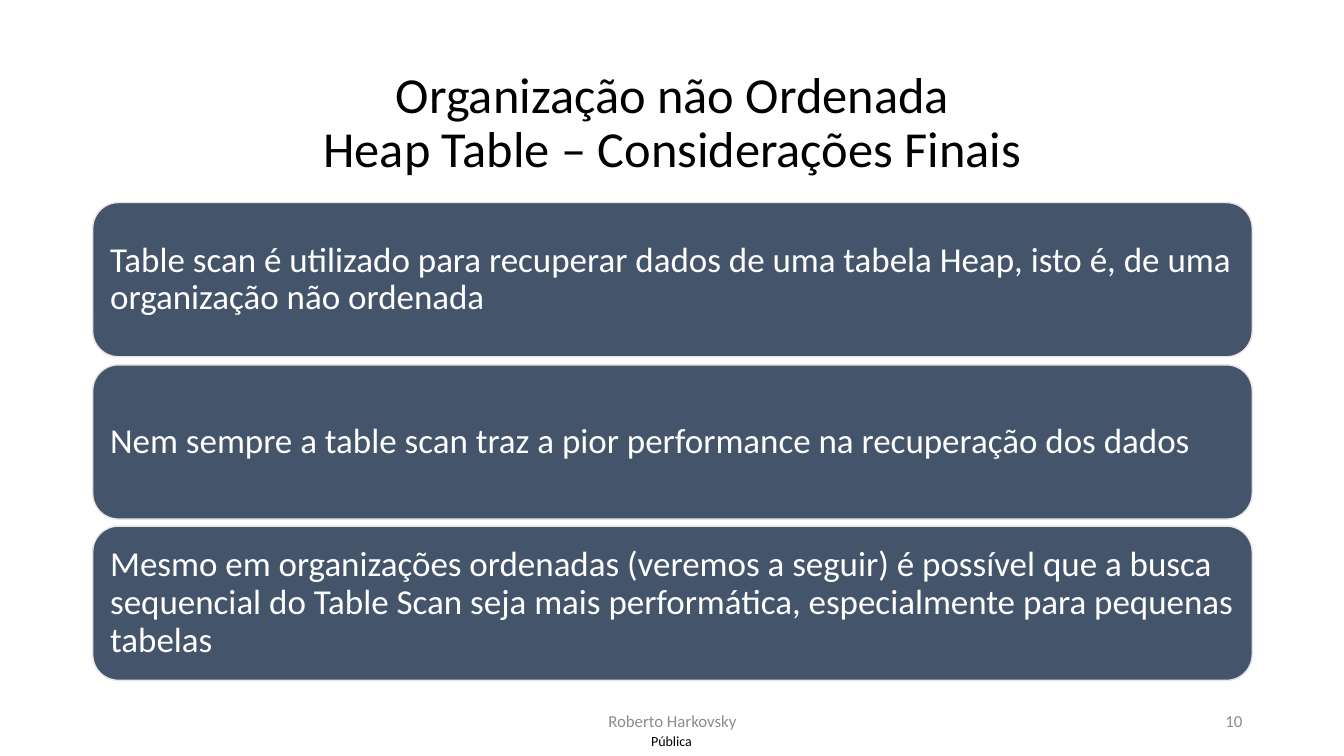
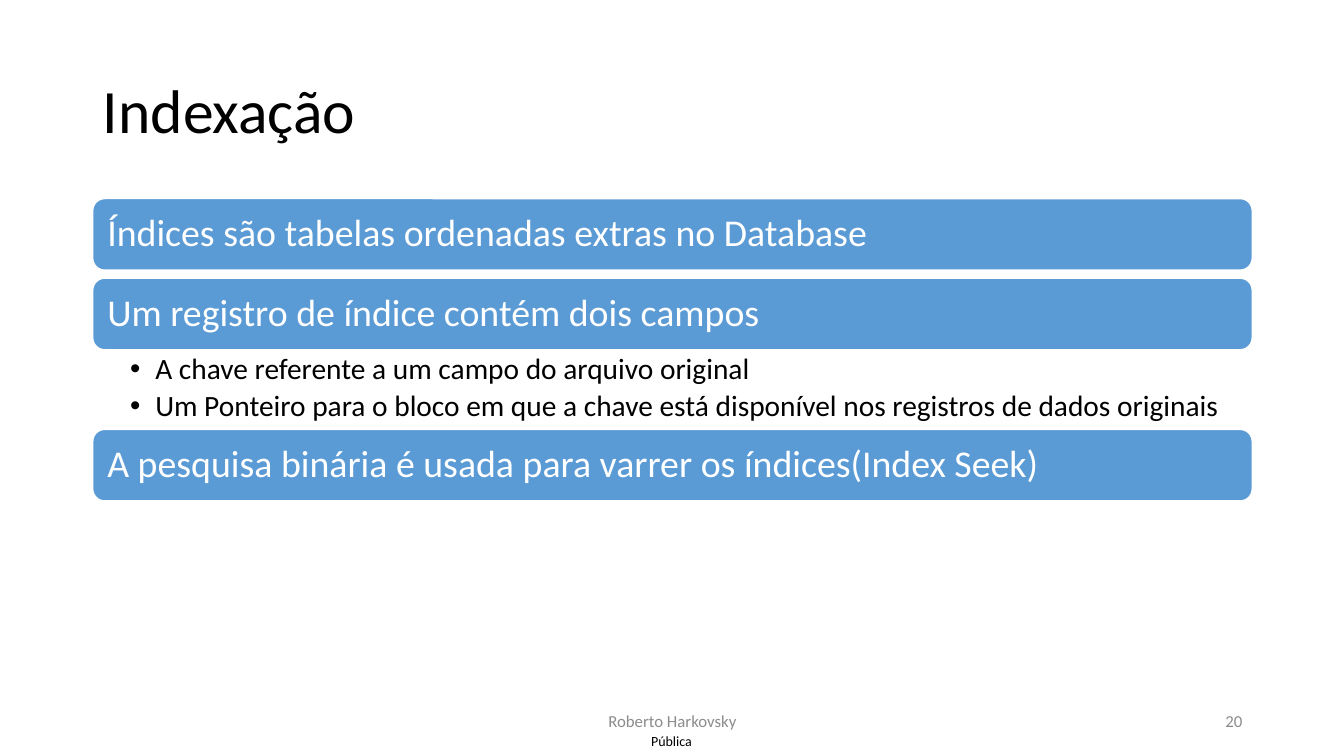
from lxml import etree
from pptx import Presentation
from pptx.dml.color import RGBColor
from pptx.enum.shapes import MSO_SHAPE as Shape
from pptx.enum.text import MSO_ANCHOR as Anchor, MSO_AUTO_SIZE as AutoSize, PP_ALIGN as Align
from pptx.oxml.ns import qn
from pptx.util import Inches, Pt

# Shared style
FONT = "Calibri"
BLACK, WHITE, GRAY = "000000", "FFFFFF", "8C8C8C"
NAVY, BLUE, PALE = "44546A", "5B9BD5", "E7E6E6"
LEFT, WIDTH = 0.92, 11.5


def color(value):
    return RGBColor.from_string(value)


def write(shape, lines, size, fill=BLACK, align=Align.LEFT, anchor=Anchor.MIDDLE,
          insets=(0.1, 0.05, 0.1, 0.05), spacing=0.9, after=0, bullet=None, indent=0.25):
    """Fill a shape with one paragraph per line and format it."""
    frame = shape.text_frame
    frame.word_wrap = True
    frame.auto_size = AutoSize.NONE
    frame.vertical_anchor = anchor
    frame.margin_left, frame.margin_top, frame.margin_right, frame.margin_bottom = map(Inches, insets)
    for index, line in enumerate(lines):
        paragraph = frame.add_paragraph() if index else frame.paragraphs[0]
        paragraph.text = line
        paragraph.alignment = align
        paragraph.line_spacing = spacing
        paragraph.space_before, paragraph.space_after = Pt(0), Pt(after)
        if bullet:
            paragraph.level = 1
            properties = paragraph._p.get_or_add_pPr()
            properties.set("marL", str(Inches(indent)))
            properties.set("indent", str(-Inches(indent)))
            etree.SubElement(properties, qn("a:buChar"), char=bullet)
        for run in paragraph.runs:
            run.font.name, run.font.size = FONT, Pt(size)
            run.font.color.rgb = color(fill)


presentation = Presentation()
presentation.slide_width, presentation.slide_height = Inches(13.33), Inches(7.5)
list_layout, title_layout = presentation.slide_layouts[1], presentation.slide_layouts[5]

# Each card is (top, text)
slides = [
    {"layout": title_layout, "number": "10",
     "title": "Organização não Ordenada\vHeap Table – Considerações Finais",
     "title_top": 0.61, "title_height": 1.24, "title_size": 36, "title_align": Align.CENTER,
     "fill": NAVY, "line": PALE, "card_height": 1.53, "inset": 0.1, "size": 25,
     "cards": [
         (2.01, "Table scan é utilizado para recuperar dados de uma tabela Heap, "
                "isto é, de uma organização não ordenada"),
         (3.62, "Nem sempre a table scan traz a pior performance na recuperação dos dados"),
         (5.22, "Mesmo em organizações ordenadas (veremos a seguir) é possível que a busca "
                "sequencial do Table Scan seja mais performática, especialmente para pequenas tabelas"),
     ]},
    {"layout": list_layout, "number": "20", "title": "Indexação",
     "title_top": 0.4, "title_height": 1.45, "title_size": 44, "title_align": Align.LEFT,
     "fill": BLUE, "line": WHITE, "card_height": 0.71, "inset": 0.11, "size": 27,
     "cards": [
         (1.97, "Índices são tabelas ordenadas extras no Database"),
         (2.76, "Um registro de índice contém dois campos"),
         (4.26, "A pesquisa binária é usada para varrer os índices(Index Seek)"),
     ],
     "list_top": 3.47,
     "list": ["A chave referente a um campo do arquivo original",
              "Um Ponteiro para o bloco em que a chave está disponível nos registros de dados originais"]},
]

for content in slides:
    slide = presentation.slides.add_slide(content["layout"])

    # Title
    title = slide.shapes.title
    title.left, title.top = Inches(LEFT), Inches(content["title_top"])
    title.width, title.height = Inches(WIDTH), Inches(content["title_height"])
    write(title, [content["title"]], content["title_size"], align=content["title_align"])

    # Cards
    for top, text in content["cards"]:
        card = slide.shapes.add_shape(Shape.ROUNDED_RECTANGLE, Inches(LEFT), Inches(top),
                                      Inches(WIDTH), Inches(content["card_height"]))
        card.shadow.inherit = False
        card.fill.solid()
        card.fill.fore_color.rgb = color(content["fill"])
        card.line.color.rgb = color(content["line"])
        card.line.width = Pt(1)
        write(card, [text], content["size"], fill=WHITE, insets=[content["inset"]] * 4)

    # Bulleted list
    if "list" in content:
        body = slide.placeholders[1]
        body.left, body.top = Inches(LEFT), Inches(content["list_top"])
        body.width, body.height = Inches(WIDTH), Inches(0.79)
        write(body, content["list"], 21, anchor=Anchor.TOP, after=4, bullet="•",
              insets=(0.37, 0.04, 0.21, 0.04))

    # Footer: author, slide number and classification
    for text, left, top, width, height, size, fill, align in [
        ("Roberto Harkovsky", 4.42, 6.95, 4.5, 0.4, 12, GRAY, Align.CENTER),
        (content["number"], 9.42, 6.95, 3, 0.4, 12, GRAY, Align.RIGHT),
        ("Pública", 6.31, 7.21, 0.7, 0.29, 10, BLACK, Align.CENTER),
    ]:
        footer = slide.shapes.add_textbox(Inches(left), Inches(top), Inches(width), Inches(height))
        write(footer, [text], size, fill=fill, align=align, spacing=1.0)

presentation.save("out.pptx")
